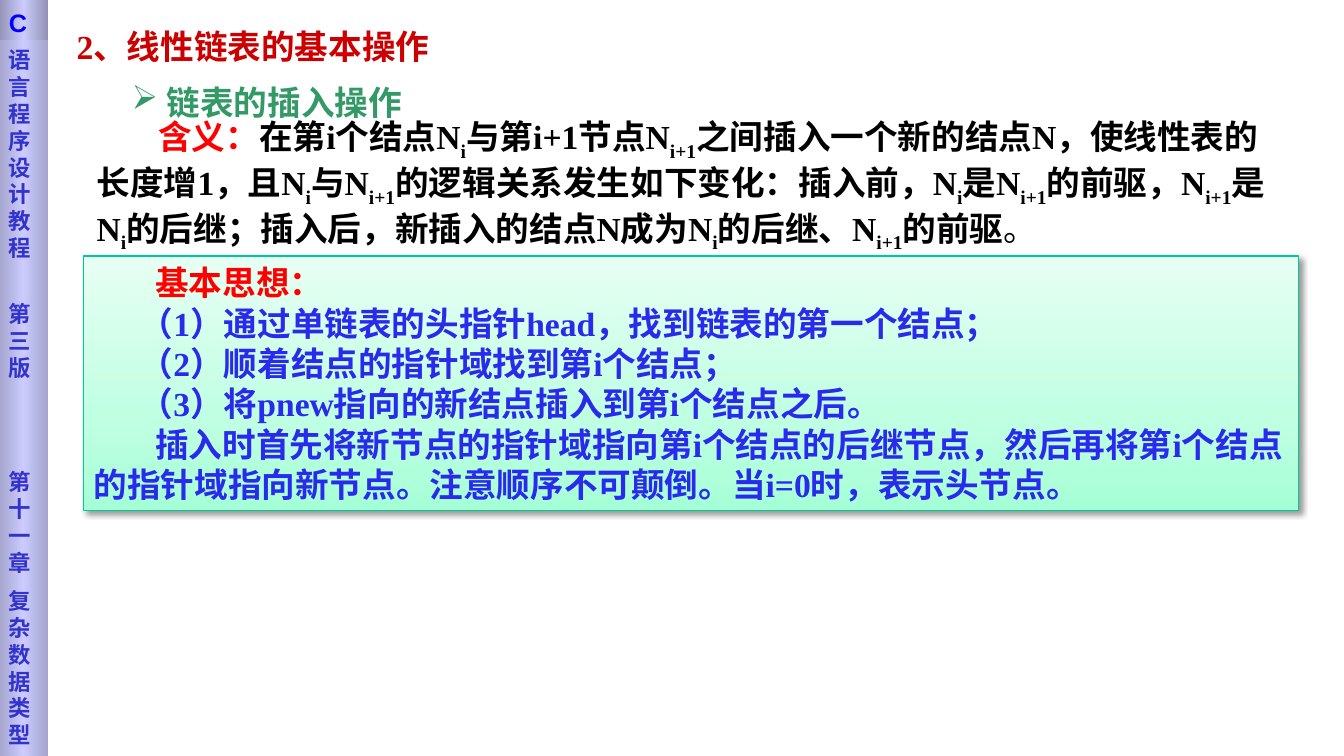
from pptx import Presentation
from pptx.dml.color import RGBColor
from pptx.enum.shapes import MSO_SHAPE as SHAPE
from pptx.enum.text import MSO_ANCHOR as ANCHOR, MSO_AUTO_SIZE as AUTO, PP_ALIGN as ALIGN
from pptx.oxml import parse_xml
from pptx.oxml.ns import nsdecls, qn
from pptx.util import Pt

COLORS = {
    "title": "CC0000", "subtitle": "339966", "label": "FF0000", "body": "000000",
    "steps": "2A2AED", "box_line": "00C896", "side": "3333CC", "side_head": "0000FF",
}
MINT = [(0, "A5FFD6"), (35, "BFFFE2"), (100, "E7FFF3")]
SIDE_FILL = [(0, "A4A4CD"), (50, "CCCCFF"), (100, "A4A4CD")]
HEAD_FILL = [(0, "9292B6"), (50, "CCCCFF"), (100, "9292B6")]

MEANING = (
    "在第i个结点N|i|与第i+1节点N|i+1|之间插入一个新的结点N，使线性表的长度增1，"
    "且N|i|与N|i+1|的逻辑关系发生如下变化：插入前，N|i|是N|i+1|的前驱，N|i+1|是N|i|的后继；"
    "插入后，新插入的结点N成为N|i|的后继、N|i+1|的前驱"
)
STEPS = [
    "（1）通过单链表的头指针head，找到链表的第一个结点；",
    "（2）顺着结点的指针域找到第i个结点；",
    "（3）将pnew指向的新结点插入到第i个结点之后。",
]
SUMMARY = ("插入时首先将新节点的指针域指向第i个结点的后继节点，然后再将第i个结点的"
           "指针域指向新节点。注意顺序不可颠倒。当i=0时，表示头节点。")
SIDE_TEXT = [("语言程序设计教程", 0), ("第三版", 28), ("第十一章", 62.5), ("复杂数据类型", 8)]


class Deck:
    def __init__(self, font="Times New Roman", size=24):
        self.font, self.size = font, size
        self.prs = Presentation()
        self.prs.slide_width, self.prs.slide_height = Pt(960), Pt(540)
        self.slide = self.prs.slides.add_slide(self.prs.slide_layouts[5])

    def frame(self, s, anchor=ANCHOR.MIDDLE, top=3.6):
        tf = s.text_frame
        tf.word_wrap, tf.auto_size, tf.vertical_anchor = True, AUTO.NONE, anchor
        tf.margin_top = Pt(top)
        return tf

    def style(self, r, color, font=None, size=None, bold=True):
        f = r.font
        f.name, f.size, f.bold = font or self.font, Pt(size or self.size), bold
        f.color.rgb = RGBColor.from_string(COLORS[color])

    def paragraph(self, tf, pieces, first=0, left=0, before=0, **style):
        """Fill the next paragraph; in each (text, color) piece, |x| is a subscript."""
        p = tf.paragraphs[0]
        if p.runs:
            p = tf.add_paragraph()
        p.alignment, p.space_before = ALIGN.LEFT, Pt(before)
        pPr = p._p.get_or_add_pPr()
        pPr.set("marL", str(Pt(left)))
        pPr.set("indent", str(Pt(first)))
        for text, color in pieces:
            for i, part in enumerate(text.split("|")):
                r = p.add_run()
                r.text = part
                self.style(r, color, **style)
                if i % 2:
                    r.font._element.set("baseline", "-25000")
        return p

    def title(self, text, x, y, w, h):
        s = self.slide.shapes.title
        s.left, s.top, s.width, s.height = Pt(x), Pt(y), Pt(w), Pt(h)
        self.paragraph(self.frame(s), [(text, "title")])

    def textbox(self, x, y, w, h):
        return self.frame(self.slide.shapes.add_textbox(Pt(x), Pt(y), Pt(w), Pt(h)))

    def bullet(self, p, char):
        p._p.get_or_add_pPr().append(parse_xml(f'<a:buChar {nsdecls("a")} char="{char}"/>'))

    def panel(self, x, y, w, h, stops, angle, line=None):
        s = self.slide.shapes.add_shape(SHAPE.RECTANGLE, Pt(x), Pt(y), Pt(w), Pt(h))
        s.shadow.inherit = False
        gs = "".join(f'<a:gs pos="{pos * 1000}"><a:srgbClr val="{c}"/></a:gs>' for pos, c in stops)
        s.fill.gradient()
        grad = s._element.spPr.find(qn("a:gradFill"))
        grad.getparent().replace(grad, parse_xml(
            f'<a:gradFill {nsdecls("a")} rotWithShape="1"><a:gsLst>{gs}</a:gsLst>'
            f'<a:lin ang="{angle * 60000}" scaled="0"/></a:gradFill>'))
        if line:
            s.line.color.rgb = RGBColor.from_string(COLORS[line])
            s.line.width = Pt(0.75)
        else:
            s.line.fill.background()
        return s

    def drop_shadow(self, s):
        s._element.spPr.find(qn("a:effectLst")).append(parse_xml(
            f'<a:outerShdw {nsdecls("a")} blurRad="{Pt(4)}" dist="{Pt(3)}" dir="2700000" '
            'algn="tl" rotWithShape="0"><a:srgbClr val="000000"><a:alpha val="40000"/>'
            '</a:srgbClr></a:outerShdw>'))


def main():
    deck = Deck()
    deck.title("2、线性链表的基本操作", 47.5, 15, 268, 36)

    tf = deck.textbox(87, 54.7, 217, 36)
    p = deck.paragraph(tf, [("链表的插入操作", "subtitle")], first=-25, left=25)
    deck.bullet(p, "➢")

    tf = deck.textbox(62, 85, 867.6, 94.3)
    p = deck.paragraph(tf, [("含义：", "label"), (MEANING, "body"), ("。", "body")], first=44)
    p.runs[-1].font.bold = False

    box = deck.panel(59.8, 182.9, 867.6, 181.7, MINT, 270, "box_line")
    deck.drop_shadow(box)
    tf = deck.frame(box)
    deck.paragraph(tf, [("基本思想：", "label")], first=44)
    for step in STEPS:
        deck.paragraph(tf, [(step, "steps")], first=33)
    deck.paragraph(tf, [(SUMMARY, "steps")], first=44)

    side = deck.panel(-0.7, 0, 35, 540, SIDE_FILL, 0)
    tf = deck.frame(side, ANCHOR.TOP, 33)
    for text, gap in SIDE_TEXT:
        deck.paragraph(tf, [(text, "side")], before=gap, font="DejaVu Sans", size=16)

    head = deck.panel(-0.7, 0, 35, 28.8, HEAD_FILL, 0)
    tf = deck.frame(head, ANCHOR.TOP, 5.5)
    deck.paragraph(tf, [("C", "side_head")], font="Arial", size=18)

    deck.prs.save("out.pptx")


if __name__ == "__main__":
    main()
